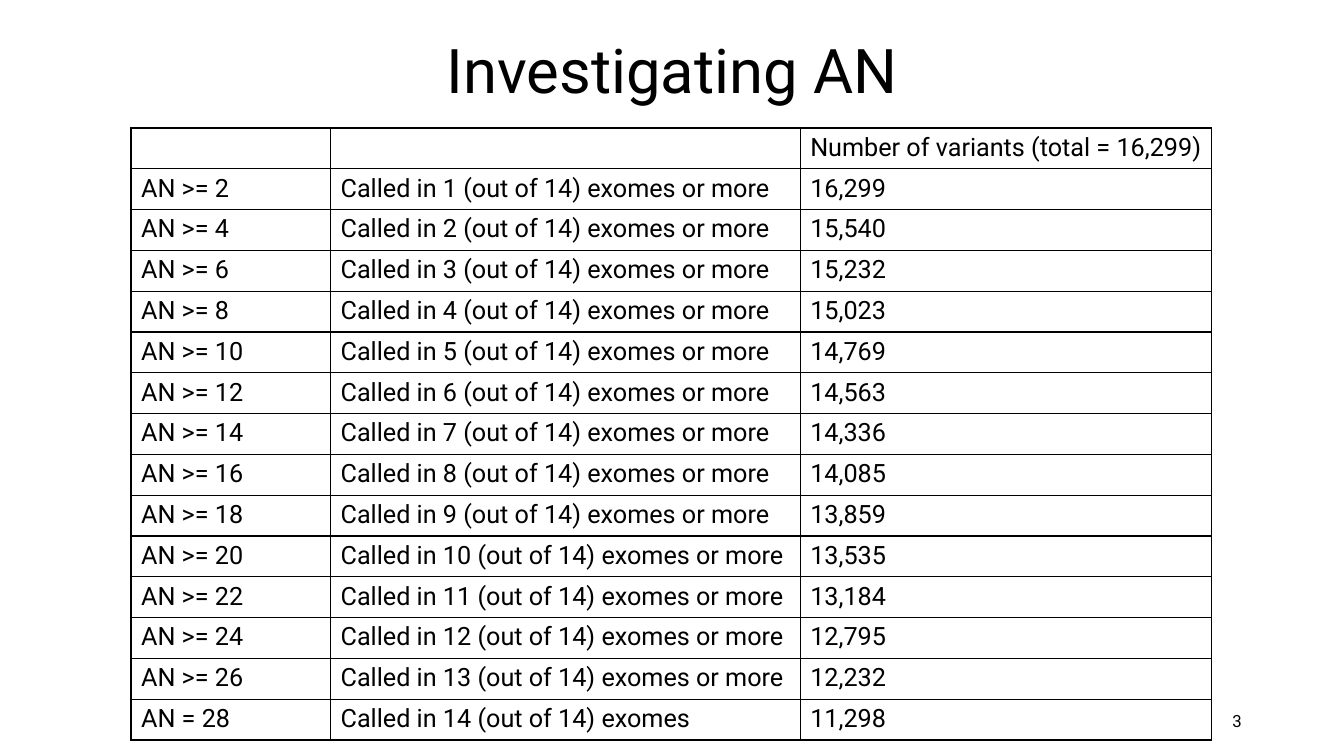
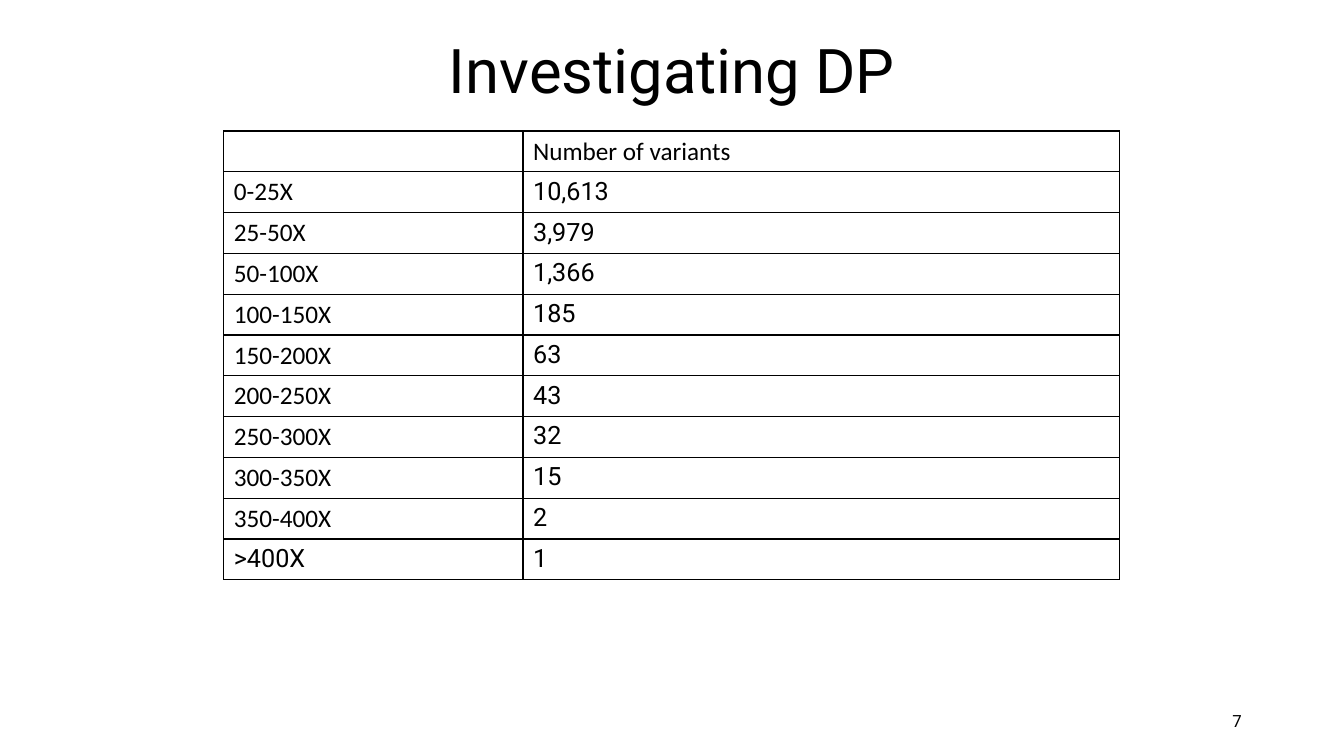
"""Build two slides that tabulate variant counts by AN and by DP."""
from lxml.etree import SubElement as Sub
from pptx import Presentation
from pptx.dml.color import RGBColor
from pptx.enum.text import MSO_ANCHOR as Anchor, PP_ALIGN as Align
from pptx.oxml.ns import qn
from pptx.util import Pt

PX = 4572
WIDE, HIGH = 2667, 1500
ROW = 81
BLACK = RGBColor(0, 0, 0)
MAIN, ALT = "Roboto", "Calibri"
TITLE = (184, 0, 2300, 290)
NUMBER = (1884, 1390, 600, 80)

AN_COUNTS = (
    "16,299", "15,540", "15,232", "15,023", "14,769", "14,563", "14,336",
    "14,085", "13,859", "13,535", "13,184", "12,795", "12,232", "11,298",
)
DP_COUNTS = (
    ("0-25X", "10,613"), ("25-50X", "3,979"), ("50-100X", "1,366"),
    ("100-150X", "185"), ("150-200X", "63"), ("200-250X", "43"),
    ("250-300X", "32"), ("300-350X", "15"), ("350-400X", "2"),
    (">400X", "1"),
)


def emu(*sizes):
    return [size * PX for size in sizes]


def style(frame, size, font=MAIN, align=Align.LEFT):
    for para in frame.paragraphs:
        para.alignment = align
        for run in para.runs:
            run.font.size = Pt(size)
            run.font.name = font
            run.font.color.rgb = BLACK


def set_title(slide, text):
    title = slide.shapes.title
    title.left, title.top, title.width, title.height = emu(*TITLE)
    frame = title.text_frame
    frame.text = text
    frame.vertical_anchor = Anchor.MIDDLE
    frame.paragraphs[0].line_spacing = 0.9
    style(frame, 44, align=Align.CENTER)


def add_number(slide, number):
    frame = slide.shapes.add_textbox(*emu(*NUMBER)).text_frame
    frame.word_wrap = True
    frame.vertical_anchor = Anchor.MIDDLE
    frame.text = str(number)
    style(frame, 12, align=Align.RIGHT)


def add_border(cell):
    props = cell._tc.get_or_add_tcPr()
    for at, side in enumerate(("lnL", "lnR", "lnT", "lnB")):
        line = props.makeelement(qn(f"a:{side}"), {"w": str(Pt(1))})
        fill = Sub(line, qn("a:solidFill"))
        Sub(fill, qn("a:srgbClr"), val=str(BLACK))
        props.insert(at, line)


def add_grid(slide, left, top, widths, rows, pick):
    box = emu(left, top, sum(widths), ROW * len(rows))
    table = slide.shapes.add_table(len(rows), len(widths), *box).table
    table.first_row = table.horz_banding = False
    for col, width in zip(table.columns, widths):
        col.width = width * PX
    for r, row in enumerate(rows):
        table.rows[r].height = ROW * PX
        for c, text in enumerate(row):
            cell = table.cell(r, c)
            cell.fill.background()
            add_border(cell)
            cell.text_frame.text = text
            style(cell.text_frame, 18, pick(r, c))


def an_rows():
    rows = [("", "", "Number of variants (total = 16,299)")]
    last = len(AN_COUNTS)
    for n, count in enumerate(AN_COUNTS, 1):
        sign, more = ("=", "") if n == last else (">=", " or more")
        label = f"Called in {n} (out of {last}) exomes{more}"
        rows.append((f"AN {sign} {2 * n}", label, count))
    return rows


def dp_font(row, col):
    label = col == 0 and row < len(DP_COUNTS)
    return ALT if row == 0 or label else MAIN


def add_page(deck, title, number, *grid):
    slide = deck.slides.add_slide(deck.slide_layouts[5])
    set_title(slide, title)
    add_number(slide, number)
    add_grid(slide, *grid)


def main():
    deck = Presentation()
    deck.slide_width, deck.slide_height = emu(WIDE, HIGH)
    add_page(deck, "Investigating AN", 3,
             260, 254, (396, 932, 816), an_rows(), lambda row, col: MAIN)
    add_page(deck, "Investigating DP", 7,
             444, 260, (594, 1184),
             [("", "Number of variants"), *DP_COUNTS], dp_font)
    deck.save("out.pptx")


if __name__ == "__main__":
    main()
